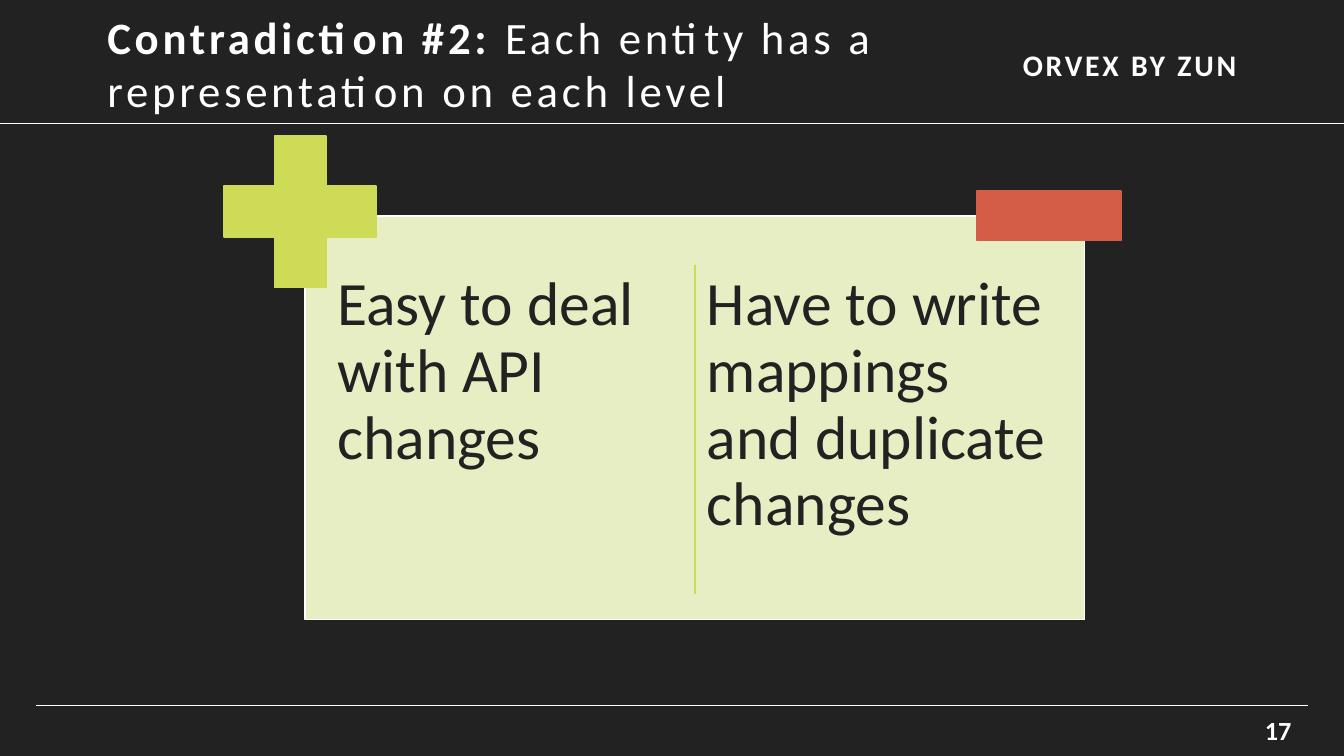
"""Build the slide weighing the pros and cons of one representation per level."""
from lxml import etree
from pptx import Presentation
from pptx.dml.color import RGBColor
from pptx.enum import shapes, text
from pptx.oxml import ns
from pptx.util import Inches, Pt

DARK = RGBColor(0x22, 0x22, 0x22)
WHITE = RGBColor(0xFF, 0xFF, 0xFF)
NEAR_WHITE = RGBColor(0xFE, 0xFE, 0xFE)
PALE = RGBColor(0xE8, 0xEE, 0xC3)
GREEN = RGBColor(0xCE, 0xDB, 0x56)
RED = RGBColor(0xD3, 0x5D, 0x47)

FONT = "Calibri"
WIDTH = 10
HEIGHT = WIDTH * 9 / 16
BRAND = "ORVEX BY ZUN"
TITLE = [
    ("Contradiction #2: ", True),
    ("Each entity has a representation on each level", False),
]
ARGUMENTS = [
    "Easy to deal with API changes",
    "Have to write mappings and duplicate changes",
]
PAGE_NUMBER = "17"
CARD = (2.27, 1.61, 5.8, 3)
COLUMN_LEFT, COLUMN_STEP = 2.44, 2.75
DIVIDER_X = CARD[0] + CARD[2] / 2


def add_block(page, kind, place, fill, line=None):
    block = page.shapes.add_shape(kind, *map(Inches, place))
    block.shadow.inherit = False
    block.fill.solid()
    block.fill.fore_color.rgb = fill
    if line is None:
        block.line.fill.background()
    else:
        block.line.color.rgb = line
        block.line.width = Pt(1)
    return block


def add_rule(page, start, end, color, width):
    rule = page.shapes.add_connector(
        shapes.MSO_CONNECTOR.STRAIGHT, *map(Inches, start + end))
    rule.line.color.rgb = color
    rule.line.width = Pt(width)
    etree.SubElement(rule._element.spPr, ns.qn("a:effectLst"))


def add_text(page, place, spans, size, color, spacing=0, insets=(0.1, 0.05, 0.1, 0.05),
             anchor=text.MSO_ANCHOR.MIDDLE, align=text.PP_ALIGN.LEFT, wrap=True):
    box = page.shapes.add_textbox(*map(Inches, place))
    frame = box.text_frame
    frame.word_wrap = wrap
    frame.vertical_anchor = anchor
    (frame.margin_left, frame.margin_top,
     frame.margin_right, frame.margin_bottom) = map(Inches, insets)
    para = frame.paragraphs[0]
    para.alignment = align
    for words, bold in spans:
        span = para.add_run()
        span.text = words
        span.font.name = FONT
        span.font.size = Pt(size)
        span.font.bold = bold
        span.font.color.rgb = color
        if spacing:
            span.font._element.set("spc", str(int(spacing * 100)))
    return para


def main():
    deck = Presentation()
    deck.slide_width, deck.slide_height = Inches(WIDTH), Inches(HEIGHT)
    page = deck.slides.add_slide(deck.slide_layouts[6])
    rectangle = shapes.MSO_SHAPE.RECTANGLE
    right = text.PP_ALIGN.RIGHT

    add_block(page, rectangle, (0, 0, WIDTH, HEIGHT), DARK)
    add_rule(page, (0.27, 5.25), (9.73, 5.25), WHITE, 0.5)
    add_rule(page, (0, 0.92), (WIDTH, 0.92), WHITE, 0.5)
    add_text(page, (7.37, 0.29, 1.93, 0.38), [(BRAND, True)], 16, WHITE, 1.5, align=right)
    add_text(page, (8.11, 5.28, 1.5, 0.35), [(PAGE_NUMBER, True)], 14, NEAR_WHITE,
             insets=(0.1, 0.05, 0, 0.09), align=right, wrap=False)
    add_text(page, (0.7, 0.29, 6.35, 0.36), TITLE, 24, WHITE, 2)

    add_block(page, rectangle, CARD, PALE, WHITE)
    for index, words in enumerate(ARGUMENTS):
        place = (COLUMN_LEFT + index * COLUMN_STEP, 1.96, 2.69, 2.56)
        para = add_text(page, place, [(words, False)], 33, DARK,
                        insets=(0.07,) * 4, anchor=text.MSO_ANCHOR.TOP)
        para.line_spacing = 0.9
    plus = add_block(page, shapes.MSO_SHAPE.CROSS, (1.67, 1.01, 1.13, 1.13), GREEN, GREEN)
    plus.adjustments[0] = 0.33
    add_block(page, rectangle, (7.27, 1.42, 1.07, 0.37), RED, RED)
    add_rule(page, (DIVIDER_X, 1.97), (DIVIDER_X, 4.42), GREEN, 1)

    deck.save("out.pptx")


if __name__ == "__main__":
    main()
